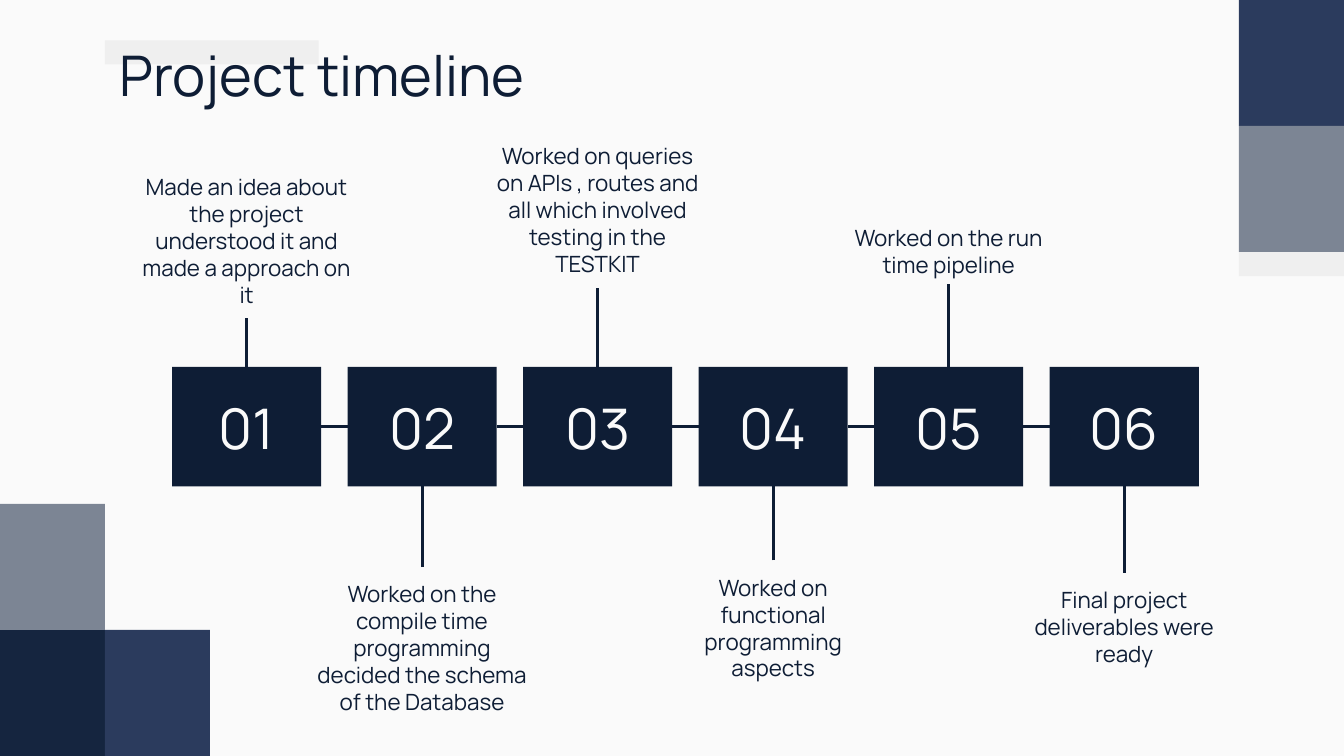
"""Builds a six-step project timeline slide."""
from lxml import etree
from pptx import Presentation
from pptx.dml.color import RGBColor
from pptx.enum.shapes import MSO_CONNECTOR, MSO_SHAPE
from pptx.enum.text import MSO_ANCHOR, PP_ALIGN
from pptx.oxml.ns import qn
from pptx.util import Inches, Pt

RECTANGLE = MSO_SHAPE.RECTANGLE
STRAIGHT = MSO_CONNECTOR.STRAIGHT
LEFT, CENTER = PP_ALIGN.LEFT, PP_ALIGN.CENTER
TOP, MIDDLE = MSO_ANCHOR.TOP, MSO_ANCHOR.MIDDLE
SIDE_TOP, SIDE_LEFT, SIDE_BOTTOM, SIDE_RIGHT = range(4)

PAPER = RGBColor(0xFA, 0xFA, 0xFA)
INK = RGBColor(0x0E, 0x1D, 0x35)
NAVY = RGBColor(0x15, 0x25, 0x3F)
BLUE = RGBColor(0x2B, 0x3B, 0x5D)
SLATE = RGBColor(0x7C, 0x85, 0x94)
MIST = RGBColor(0xEF, 0xEF, 0xEF)
FONT = "Manrope"

TITLE = "Project timeline"
STEPS = [
    ("Made an idea about the project understood it and made a approach on it", 1.19, 1.18),
    ("Worked on the compile time programming decided the schema of the Database", 4.22, 1.18),
    ("Worked on queries on APIs , routes and all which involved testing in the TESTKIT", 0.96, 1.18),
    ("Worked on functional programming aspects", 4.17, 1.18),
    ("Worked on the run time pipeline", 1.57, 0.54),
    ("Final project deliverables were ready", 4.26, 1.18),
]

SLIDE_W, SLIDE_H = 10, 5.625
TILE_W, TILE_H = SLIDE_W / 12.8, SLIDE_H / 6
RIGHT_EDGE = SLIDE_W - TILE_W
BAR_H = 0.18
TILES = [
    (0, 5 * TILE_H, TILE_W, TILE_H, NAVY),
    (0, 4 * TILE_H, TILE_W, TILE_H, SLATE),
    (TILE_W, 5 * TILE_H, TILE_W, TILE_H, BLUE),
    (RIGHT_EDGE, 0, TILE_W, TILE_H, BLUE),
    (RIGHT_EDGE, TILE_H, TILE_W, TILE_H, SLATE),
    (RIGHT_EDGE, 2 * TILE_H, TILE_W, BAR_H, MIST),
    (TILE_W, 0.3, 1.59, BAR_H, MIST),
]

ROW_LEFT, ROW_RIGHT, ROW_TOP = 1.28, 8.92, 2.73
BOX_W, BOX_H = 1.11, 0.89
PITCH = (ROW_RIGHT - ROW_LEFT - BOX_W) / (len(STEPS) - 1)
LABEL_W = 1.81


def add_block(slide, left, top, width, height, color):
    block = slide.shapes.add_shape(
        RECTANGLE, Inches(left), Inches(top), Inches(width), Inches(height))
    block.shadow.inherit = False
    block.fill.solid()
    block.fill.fore_color.rgb = color
    block.line.fill.background()
    return block


def write(shape, text, size, color=INK, align=CENTER, anchor=TOP):
    frame = shape.text_frame
    margins = dict.fromkeys(
        ("margin_left", "margin_top", "margin_right", "margin_bottom"), Inches(0.1))
    for name, value in {**margins, "word_wrap": True, "vertical_anchor": anchor}.items():
        setattr(frame, name, value)
    paragraph = frame.paragraphs[0]
    paragraph.alignment = align
    run = paragraph.add_run()
    run.text = text
    for name, value in {"name": FONT, "size": Pt(size)}.items():
        setattr(run.font, name, value)
    run.font.color.rgb = color


def add_label(slide, left, top, width, height, text, size, align=CENTER):
    label = slide.shapes.add_textbox(
        Inches(left), Inches(top), Inches(width), Inches(height))
    write(label, text, size, align=align)
    return label


def join(slide, start, start_side, end, end_side):
    link = slide.shapes.add_connector(STRAIGHT, 0, 0, 0, 0)
    link.begin_connect(start, start_side)
    link.end_connect(end, end_side)
    link.line.color.rgb = INK
    link.line.width = Pt(1.5)
    etree.SubElement(link._element.spPr, qn("a:effectLst"))


def main():
    deck = Presentation()
    deck.slide_width, deck.slide_height = Inches(SLIDE_W), Inches(SLIDE_H)
    slide = deck.slides.add_slide(deck.slide_layouts[6])
    slide.background.fill.solid()
    slide.background.fill.fore_color.rgb = PAPER

    for tile in TILES:
        add_block(slide, *tile)
    add_label(slide, 0.79, 0.2, 8.43, 0.63, TITLE, 30, LEFT)

    boxes = []
    for index, (text, top, height) in enumerate(STEPS):
        left = ROW_LEFT + index * PITCH
        box = add_block(slide, left, ROW_TOP, BOX_W, BOX_H, INK)
        write(box, f"{index + 1:02}", 30, PAPER, anchor=MIDDLE)
        label = add_label(
            slide, left + (BOX_W - LABEL_W) / 2, top, LABEL_W, height, text, 12)
        if top < ROW_TOP:
            join(slide, box, SIDE_TOP, label, SIDE_BOTTOM)
        else:
            join(slide, label, SIDE_TOP, box, SIDE_BOTTOM)
        boxes.append(box)

    for box, following in zip(boxes, boxes[1:]):
        join(slide, following, SIDE_LEFT, box, SIDE_RIGHT)

    deck.save("out.pptx")


if __name__ == "__main__":
    main()
